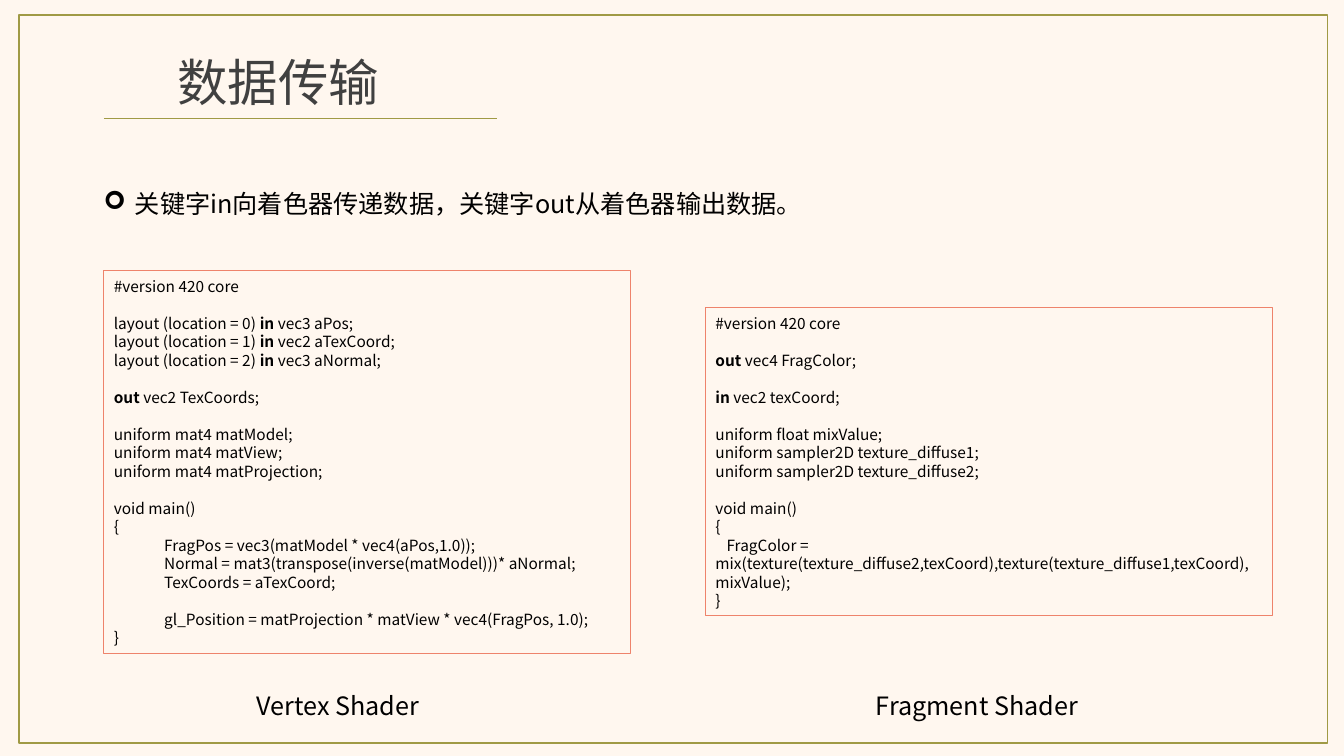
from pptx import Presentation
from pptx.dml.color import RGBColor
from pptx.enum.shapes import MSO_CONNECTOR, MSO_SHAPE
from pptx.enum.text import PP_ALIGN
from pptx.oxml.ns import qn
from pptx.util import Cm, Pt
from lxml import etree

FONT = "Noto Sans CJK SC"
OLIVE, CORAL = "A09A45", "EE836B"


def color(value):
    return RGBColor.from_string(value)


def add_line(paragraph, text, size, shade="000000", spacing=1.2):
    """Fill a paragraph; parts between | marks are bold."""
    paragraph.line_spacing = Pt(round(size * spacing, 2))
    for number, part in enumerate(text.split("|")):
        if part:
            run = paragraph.add_run()
            run.text = part
            run.font.size = Pt(size)
            run.font.name = FONT
            run.font.bold = number % 2 == 1
            run.font.color.rgb = color(shade)
            east_asian = etree.SubElement(run.font._element, qn("a:ea"))
            east_asian.set("typeface", FONT)


presentation = Presentation()
presentation.slide_width, presentation.slide_height = Cm(33.87), Cm(19.05)
slide = presentation.slides.add_slide(presentation.slide_layouts[6])
slide.background.fill.solid()
slide.background.fill.fore_color.rgb = color("FFF7EF")

# Title rule
rule = slide.shapes.add_connector(
    MSO_CONNECTOR.STRAIGHT, Cm(2.62), Cm(2.97), Cm(12.52), Cm(2.97))
rule.line.color.rgb = color(OLIVE)
rule.line.width = Pt(0.5)
etree.SubElement(rule._element.spPr, qn("a:effectLst"))

# Page frame and code boxes
boxes = []
for left, top, width, height, outline, weight in [
    (0.48, 0.38, 32.97, 18.34, OLIVE, 1),
    (2.62, 6.81, 13.26, 9.65, CORAL, 0.75),
    (17.78, 7.75, 14.3, 7.77, CORAL, 0.75),
]:
    shape = slide.shapes.add_shape(
        MSO_SHAPE.RECTANGLE, Cm(left), Cm(top), Cm(width), Cm(height))
    shape.shadow.inherit = False
    shape.fill.background()
    shape.line.color.rgb = color(outline)
    shape.line.width = Pt(weight)
    boxes.append(shape)
page_frame, vertex_box, fragment_box = boxes

# Code, in groups set apart by one line; a leading tab marks an indented line
vertex_code = [
    ["#version 420 core"],
    ["layout (location = 0) |in| vec3 aPos;",
     "layout (location = 1)| in |vec2 aTexCoord;",
     "layout (location = 2) |in| vec3 aNormal;"],
    ["|out| vec2 TexCoords;"],
    ["uniform mat4 matModel;", "uniform mat4 matView;",
     "uniform mat4 matProjection;"],
    ["void main()", "{",
     "\tFragPos = vec3(matModel * vec4(aPos,1.0));",
     "\tNormal = mat3(transpose(inverse(matModel)))* aNormal;",
     "\tTexCoords = aTexCoord;"],
    ["\tgl_Position = matProjection * matView * vec4(FragPos, 1.0);", "}"],
]
fragment_code = [
    ["#version 420 core"],
    ["|out| vec4 FragColor;"],
    ["|in| vec2 texCoord;"],
    ["uniform float mixValue;", "uniform sampler2D texture_diffuse1;",
     "uniform sampler2D texture_diffuse2;"],
    ["void main()", "{",
     "\tFragColor = mix(texture(texture_diffuse2,texCoord),"
     "texture(texture_diffuse1,texCoord),mixValue);",
     "}"],
]
for box, code, margin, first_line in [
    (vertex_box, vertex_code, 1.27, 0),
    (fragment_box, fragment_code, 0, 0.28),
]:
    frame = box.text_frame
    frame.word_wrap = True
    paragraph = frame.paragraphs[0]
    for group_number, group in enumerate(code):
        for line_number, line in enumerate(group):
            if group_number or line_number:
                paragraph = frame.add_paragraph()
            paragraph.alignment = PP_ALIGN.LEFT
            if group_number and not line_number:
                paragraph.space_before = Pt(13.2)
            if line.startswith("\t"):
                properties = paragraph._element.get_or_add_pPr()
                properties.set("marL", str(Cm(margin)))
                properties.set("indent", str(Cm(first_line)))
            add_line(paragraph, line.strip("\t"), 11)

# Title, key point and captions
for text, left, top, width, height, size, shade, align, spacing in [
    ("数据传输", 4.19, 1.17, 5.64, 1.8, 36, "404040", PP_ALIGN.CENTER, 1.2),
    ("关键字in向着色器传递数据，关键字out从着色器输出数据。",
     2.36, 4.24, 19.46, 1.27, 18, "000000", PP_ALIGN.JUSTIFY, 1.8),
    ("Vertex Shader", 6.22, 17.27, 6.27, 1.02, 18, "000000", PP_ALIGN.LEFT, 1.2),
    ("Fragment Shader", 21.82, 17.27, 6.27, 1.02, 18, "000000", PP_ALIGN.LEFT, 1.2),
]:
    text_box = slide.shapes.add_textbox(Cm(left), Cm(top), Cm(width), Cm(height))
    text_box.text_frame.word_wrap = align != PP_ALIGN.CENTER
    paragraph = text_box.text_frame.paragraphs[0]
    paragraph.alignment = align
    add_line(paragraph, text, size, shade, spacing)
    if align == PP_ALIGN.JUSTIFY:
        properties = paragraph._element.get_or_add_pPr()
        properties.set("marL", str(Cm(0.79)))
        properties.set("indent", str(Cm(-0.79)))
        bullet_font = etree.SubElement(properties, qn("a:buFont"))
        bullet_font.set("typeface", "Wingdings")
        bullet = etree.SubElement(properties, qn("a:buChar"))
        bullet.set("char", "➢")

presentation.save("out.pptx")
